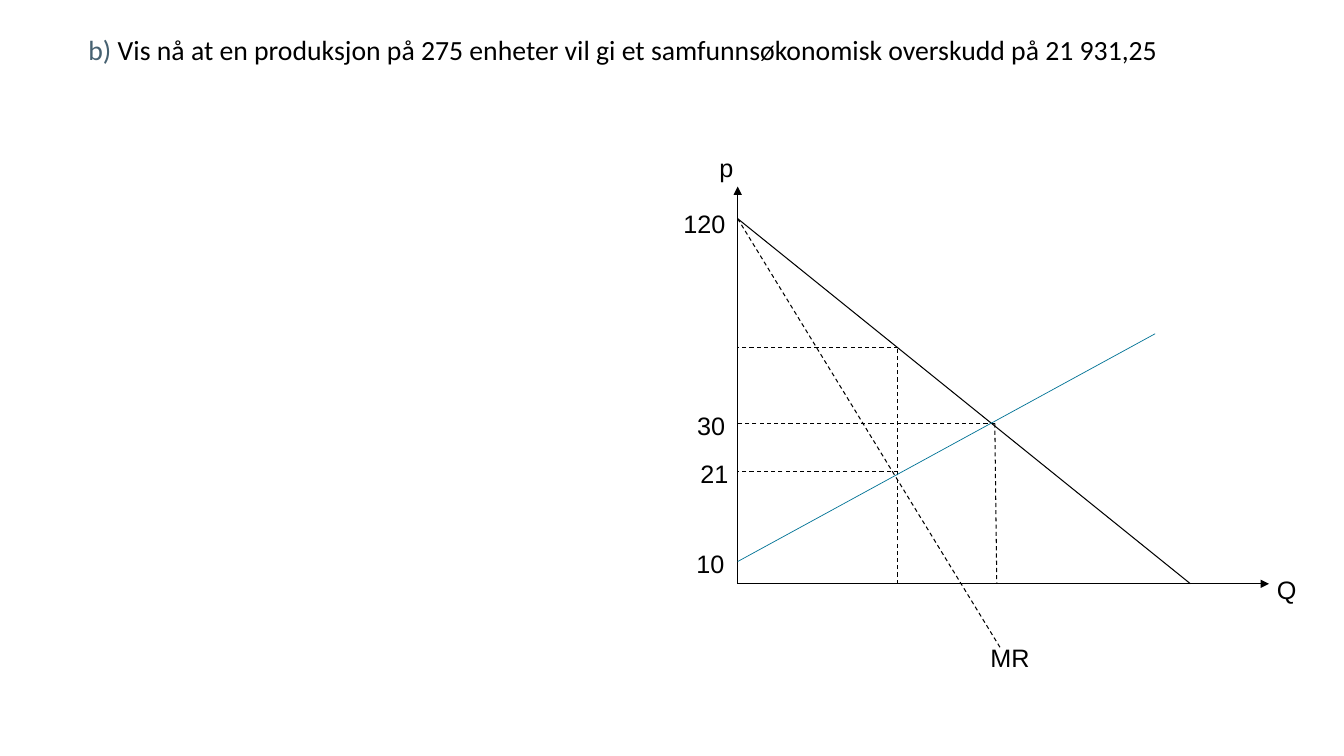
import pptx
import pptx.util
import pptx.dml.color
import pptx.enum.dml
import pptx.enum.shapes
import pptx.enum.text
import pptx.oxml.ns
import lxml.etree

Cm = pptx.util.Cm
Pt = pptx.util.Pt

TITLE = [
    ("b) ", "466171"),
    ("Vis nå at en produksjon på 275 enheter vil gi et "
     "samfunnsøkonomisk overskudd på 21 931,25", "000000"),
]
LEFT, BASE = 18.59, 14.71
TOP = 5.51
MONO, BEST = 22.63, 25.07
HIGH, MID, LOW = 8.76, 10.67, 11.89

AXIS = {"color": "000000", "width": 0.75, "head": True}
SOLID = {"color": "000000", "width": 0.75}
DASH = {"color": "000000", "width": 0.75, "dash": True}
COST = {"color": "007396", "width": 0.5}

LINES = [
    (LEFT, BASE, LEFT, 4.7, AXIS),
    (LEFT, BASE, 31.98, BASE, AXIS),
    (LEFT, TOP, 30, BASE, SOLID),
    (LEFT, TOP, 25.2, 16.31, DASH),
    (BEST, MID, 25.12, BASE, DASH),
    (BEST, MID, LEFT, MID, DASH),
    (MONO, BASE, MONO, HIGH, DASH),
    (MONO, HIGH, LEFT, HIGH, DASH),
    (LEFT, 14.15, 29.11, 8.41, COST),
    (MONO, LOW, LEFT, LOW, DASH),
]
LABELS = [
    ("Q", 31.93, 14.35, 1.02),
    ("p", 17.88, 3.71, 0.86),
    ("MR", 24.71, 16.05, 1.5),
    ("30", 17.32, 10.21, 1.22),
    ("10", 17.3, 13.69, 1.22),
    ("21", 17.4, 11.43, 1.22),
    ("120", 16.97, 5.13, 1.57),
]


def paint(code):
    return pptx.dml.color.RGBColor.from_string(code)


def add_line(slide, x1, y1, x2, y2, style):
    wire = slide.shapes.add_connector(
        pptx.enum.shapes.MSO_CONNECTOR.STRAIGHT,
        Cm(x1), Cm(y1), Cm(x2), Cm(y2))
    wire.line.color.rgb = paint(style["color"])
    wire.line.width = Pt(style["width"])
    if style.get("dash"):
        wire.line.dash_style = pptx.enum.dml.MSO_LINE.DASH
    qn = pptx.oxml.ns.qn
    if style.get("head"):
        lxml.etree.SubElement(
            wire.line._get_or_add_ln(), qn("a:tailEnd"), type="triangle")
    lxml.etree.SubElement(wire._element.spPr, qn("a:effectLst"))


def add_text(slide, runs, x, y, w, h, font, size, frame):
    box = slide.shapes.add_textbox(Cm(x), Cm(y), Cm(w), Cm(h))
    for key, value in frame.items():
        setattr(box.text_frame, key, value)
    para = box.text_frame.paragraphs[0]
    for text, code in runs:
        run = para.add_run()
        run.text = text
        for key, value in {"name": font, "size": Pt(size)}.items():
            setattr(run.font, key, value)
        run.font.color.rgb = paint(code)


def main():
    deck = pptx.Presentation()
    deck.slide_width, deck.slide_height = Cm(33.87), Cm(19.05)
    slide = deck.slides.add_slide(deck.slide_layouts[6])
    anchor = pptx.enum.text.MSO_ANCHOR
    fit = pptx.enum.text.MSO_AUTO_SIZE
    add_text(slide, TITLE, 1.98, 0.6, 29.21, 1.27, "Calibri", 19.8,
             {"word_wrap": True, "vertical_anchor": anchor.MIDDLE})
    for line in LINES:
        add_line(slide, *line)
    for text, x, y, w in LABELS:
        add_text(slide, [(text, "000000")], x, y, w, 1.02, "Arial", 18,
                 {"word_wrap": False, "auto_size": fit.SHAPE_TO_FIT_TEXT})
    deck.save("out.pptx")


if __name__ == "__main__":
    main()
